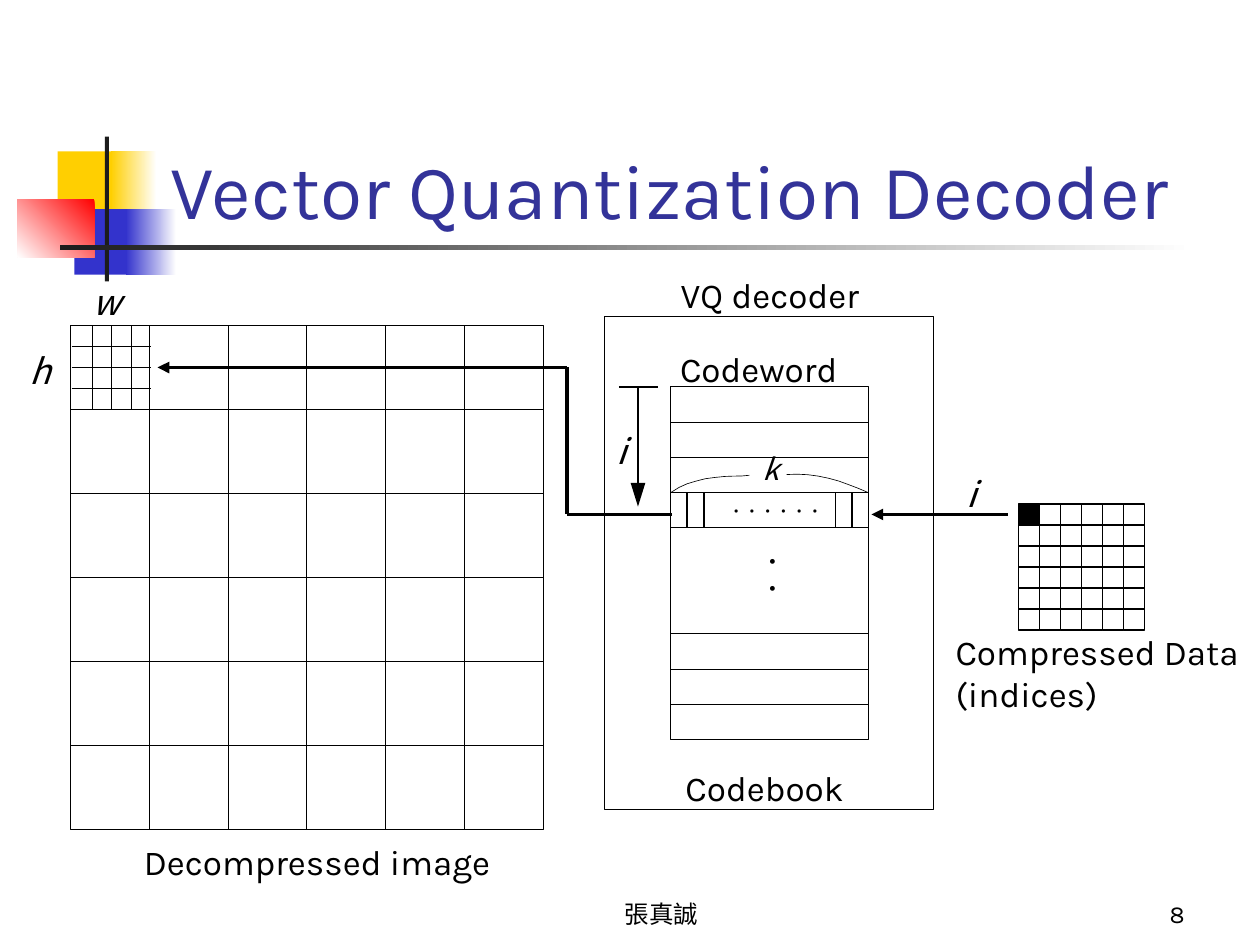
from dataclasses import dataclass
from typing import Any, NamedTuple, Optional

import pptx
import pptx.dml.color
import pptx.enum.shapes
import pptx.enum.text
import pptx.oxml.ns
import pptx.util
from lxml import etree

Pt = pptx.util.Pt
Align = pptx.enum.text.PP_ALIGN
Anchor = pptx.enum.text.MSO_ANCHOR
Fit = pptx.enum.text.MSO_AUTO_SIZE


@dataclass(frozen=True)
class Theme:
    ink: str = "000000"
    title: str = "333399"
    white: str = "FFFFFF"
    yellow: str = "FFCF01"
    blue: str = "3333CC"
    red: str = "FF0000"
    bar: str = "1C1C1C"
    sans: str = "Karla"
    symbol: str = "Noto Sans CJK TC"
    title_size: float = 44
    label_size: float = 20
    footer_size: float = 14
    hairline: float = 0.37
    cell_line: float = 0.75
    thin: float = 1
    thick: float = 2.25


THEME = Theme()


class Area(NamedTuple):
    left: float
    top: float
    width: float
    height: float


class Ornament(NamedTuple):
    area: Area
    start: str
    end: Optional[str] = None
    angle: float = 180


class Grid(NamedTuple):
    left: float
    top: float
    cell_width: float
    cell_height: float
    rows: int
    columns: int
    weight: float


class Stroke(NamedTuple):
    x1: float
    y1: float
    x2: float
    y2: float
    weight: float
    arrow: bool = False


class Label(NamedTuple):
    text: str
    area: Area
    size: float = THEME.label_size
    font: str = THEME.sans
    italic: bool = False


ORNAMENTS = [
    Ornament(Area(33, 86.5, 34.5, 37.5), THEME.yellow),
    Ornament(Area(63.4, 86.5, 26, 37.5), THEME.white, THEME.yellow),
    Ornament(Area(42.5, 119.5, 33, 37.5), THEME.blue),
    Ornament(Area(72, 119.5, 28.8, 37.5), THEME.white, THEME.blue),
    Ornament(Area(10, 113.8, 44, 33.2), THEME.red, THEME.white, 225),
    Ornament(Area(60, 78, 2.2, 82.8), THEME.bar),
    Ornament(Area(34.5, 140.2, 648, 2.4), THEME.white, THEME.bar),
]

ROW = 20.16
BOOK = Area(383.3, 221, 112.8, 10 * ROW)
WORD_TOP = BOOK.top + 3 * ROW
WORD_BOTTOM = WORD_TOP + ROW
IMAGE = Grid(40.3, 185.9, 45, 48, 6, 6, THEME.hairline)
INDICES = Grid(582, 288, 12, 12, 6, 6, THEME.cell_line)
GRIDS = [
    Grid(BOOK.left, BOOK.top, BOOK.width, ROW, 4, 1, THEME.hairline),
    Grid(BOOK.left, BOOK.top + 7 * ROW, BOOK.width, ROW, 3, 1, THEME.hairline),
    Grid(BOOK.left, WORD_BOTTOM, BOOK.width, 3 * ROW, 1, 1, THEME.hairline),
    Grid(345.6, 180.8, 188, 281.6, 1, 1, THEME.hairline),
    IMAGE,
    INDICES,
]

STROKES = [
    *[Stroke(x, WORD_TOP, x, WORD_BOTTOM, THEME.thin) for x in (392.6, 402.2, 477.4, 486.8)],
    Stroke(364.6, BOOK.top, 364.6, 277, THEME.thin),
    Stroke(353.6, BOOK.top, 376, BOOK.top, THEME.thin),
    *[Stroke(41, IMAGE.top + step * 12, 86.4, IMAGE.top + step * 12, THEME.hairline)
      for step in (1, 2, 3)],
    *[Stroke(x, IMAGE.top, x, IMAGE.top + IMAGE.cell_height, THEME.hairline)
      for x in (52.6, 63.9, 75.2)],
    Stroke(90, 210, 324, 210, THEME.thick, True),
    Stroke(324, 210, 324, 294, THEME.thick),
    Stroke(324, 294, 384, 294, THEME.thick),
    Stroke(498, 294, 576, 294, THEME.thick, True),
]

LEFT_BRACE = [(383.3, 281.5), (388, 278.6), (392.6, 276.5), (397.6, 275), (403, 273.6),
              (408.3, 272.9), (414, 272.3), (419, 272.1), (424, 272), (428.2, 271.6)]
RIGHT_BRACE = [(496.1, 281.5), (490.5, 279.1), (485, 277), (479.5, 275), (473.8, 273.4),
               (467.5, 272.1), (461.5, 271.3), (455.5, 271), (449.5, 271.2)]
ARROW_TIP = [(368.8, 276), (364.6, 289.5), (360.4, 276)]

LABELS = [
    Label("Decompressed image", Area(82.2, 480, 205, 24)),
    Label("VQ decoder", Area(389, 156, 110, 24)),
    Label("Codeword", Area(388.6, 198.3, 97, 24)),
    Label("Codebook", Area(391.7, 438, 96, 24)),
    Label("Compressed Data\n(indices)", Area(546, 360, 168, 48)),
    Label("‧‧‧‧‧‧", Area(416.2, 287, 54, 11), 9, THEME.symbol),
    *[Label("‧", Area(435.4, top, 13, 16), 13, THEME.symbol) for top in (313, 328.5)],
    Label("k", Area(435.6, 257.8, 10, 20), 17, THEME.symbol, True),
    *[Label(text, Area(left, top, width, 24), THEME.label_size, THEME.symbol, True)
      for text, left, top, width in (("i", 552.4, 270, 6.5), ("i", 352.2, 245.5, 6.5),
                                     ("w", 52.6, 160, 16.5), ("h", 16.6, 199.5, 12))],
]


def apply(target: Any, values: dict) -> None:
    for name, value in values.items():
        setattr(target, name, value)


def rgb(code: str) -> Any:
    return pptx.dml.color.RGBColor.from_string(code)


def points(area: Area) -> list:
    return [Pt(length) for length in area]


def write(box: Any, text: str, size: float, font: str, color: str = THEME.ink,
          italic: bool = False, align: Any = Align.LEFT) -> None:
    frame = box.text_frame
    frame.text = text
    for para in frame.paragraphs:
        para.alignment = align
        for span in para.runs:
            apply(span.font, {"name": font, "size": Pt(size), "italic": italic})
            span.font.color.rgb = rgb(color)
            east = etree.SubElement(span.font._element, pptx.oxml.ns.qn("a:ea"))
            east.set("typeface", THEME.symbol)


def add_box(page: Any, area: Area) -> Any:
    box = page.shapes.add_shape(pptx.enum.shapes.MSO_SHAPE.RECTANGLE, *points(area))
    box.shadow.inherit = False
    return box


def outline(shape: Any, weight: float) -> None:
    shape.line.color.rgb = rgb(THEME.ink)
    shape.line.width = Pt(weight)


def fill(shape: Any, color: str) -> None:
    shape.fill.solid()
    shape.fill.fore_color.rgb = rgb(color)


def draw_ornament(page: Any, item: Ornament) -> None:
    box = add_box(page, item.area)
    box.line.fill.background()
    if item.end is None:
        fill(box, item.start)
        return
    box.fill.gradient()
    box.fill.gradient_angle = item.angle
    for stop, color, position in zip(box.fill.gradient_stops, (item.start, item.end), (0, 1)):
        stop.color.rgb = rgb(color)
        stop.position = position


def draw_grid(page: Any, grid: Grid) -> list:
    cells = []
    for index in range(grid.rows * grid.columns):
        row, column = divmod(index, grid.columns)
        cell = add_box(page, Area(grid.left + column * grid.cell_width,
                                  grid.top + row * grid.cell_height,
                                  grid.cell_width, grid.cell_height))
        cell.fill.background()
        outline(cell, grid.weight)
        cells.append(cell)
    return cells


def draw_stroke(page: Any, stroke: Stroke) -> None:
    line = page.shapes.add_connector(pptx.enum.shapes.MSO_CONNECTOR.STRAIGHT,
                                     *[Pt(value) for value in stroke[:4]])
    outline(line, stroke.weight)
    if stroke.arrow:
        head = etree.SubElement(line.line._get_or_add_ln(), pptx.oxml.ns.qn("a:headEnd"))
        head.set("type", "triangle")
    etree.SubElement(line._element.spPr, pptx.oxml.ns.qn("a:effectLst"))


def draw_path(page: Any, path: list, closed: bool = False) -> None:
    corners = [(Pt(x), Pt(y)) for x, y in path]
    builder = page.shapes.build_freeform(*corners[0], scale=1.0)
    builder.add_line_segments(corners[1:], close=closed)
    shape = builder.convert_to_shape()
    shape.shadow.inherit = False
    if closed:
        fill(shape, THEME.ink)
        shape.line.fill.background()
    else:
        shape.fill.background()
        outline(shape, THEME.hairline)


def draw_label(page: Any, label: Label) -> None:
    box = page.shapes.add_textbox(*points(label.area))
    apply(box.text_frame, {"margin_left": 0, "margin_right": 0, "margin_top": 0,
                           "margin_bottom": 0, "word_wrap": False,
                           "auto_size": Fit.SHAPE_TO_FIT_TEXT})
    write(box, label.text, label.size, label.font, italic=label.italic)


def draw_footer(page: Any, text: str, area: Area, align: Any) -> None:
    box = page.shapes.add_textbox(*points(area))
    apply(box.text_frame, {"word_wrap": True, "vertical_anchor": Anchor.BOTTOM})
    write(box, text, THEME.footer_size, THEME.sans, align=align)


def draw_title(page: Any, text: str, area: Area) -> None:
    title = page.shapes.title
    apply(title, dict(zip(("left", "top", "width", "height"), points(area))))
    apply(title.text_frame, {"word_wrap": True, "auto_size": Fit.NONE,
                             "vertical_anchor": Anchor.BOTTOM})
    write(title, text, THEME.title_size, THEME.sans, THEME.title)


def main() -> None:
    deck = pptx.Presentation()
    apply(deck, {"slide_width": Pt(720), "slide_height": Pt(540)})
    page = deck.slides.add_slide(deck.slide_layouts[5])
    for ornament in ORNAMENTS:
        draw_ornament(page, ornament)
    draw_title(page, "Vector Quantization Decoder", Area(90.5, 48, 613.5, 90))
    cells = [draw_grid(page, grid) for grid in GRIDS]
    fill(cells[-1][0], THEME.ink)
    for stroke in STROKES:
        draw_stroke(page, stroke)
    draw_path(page, LEFT_BRACE)
    draw_path(page, RIGHT_BRACE)
    draw_path(page, ARROW_TIP, True)
    for label in LABELS:
        draw_label(page, label)
    draw_footer(page, "張真誠", Area(264, 498, 228, 36), Align.CENTER)
    draw_footer(page, "8", Area(534, 498, 150, 36), Align.RIGHT)
    deck.save("out.pptx")


if __name__ == "__main__":
    main()
